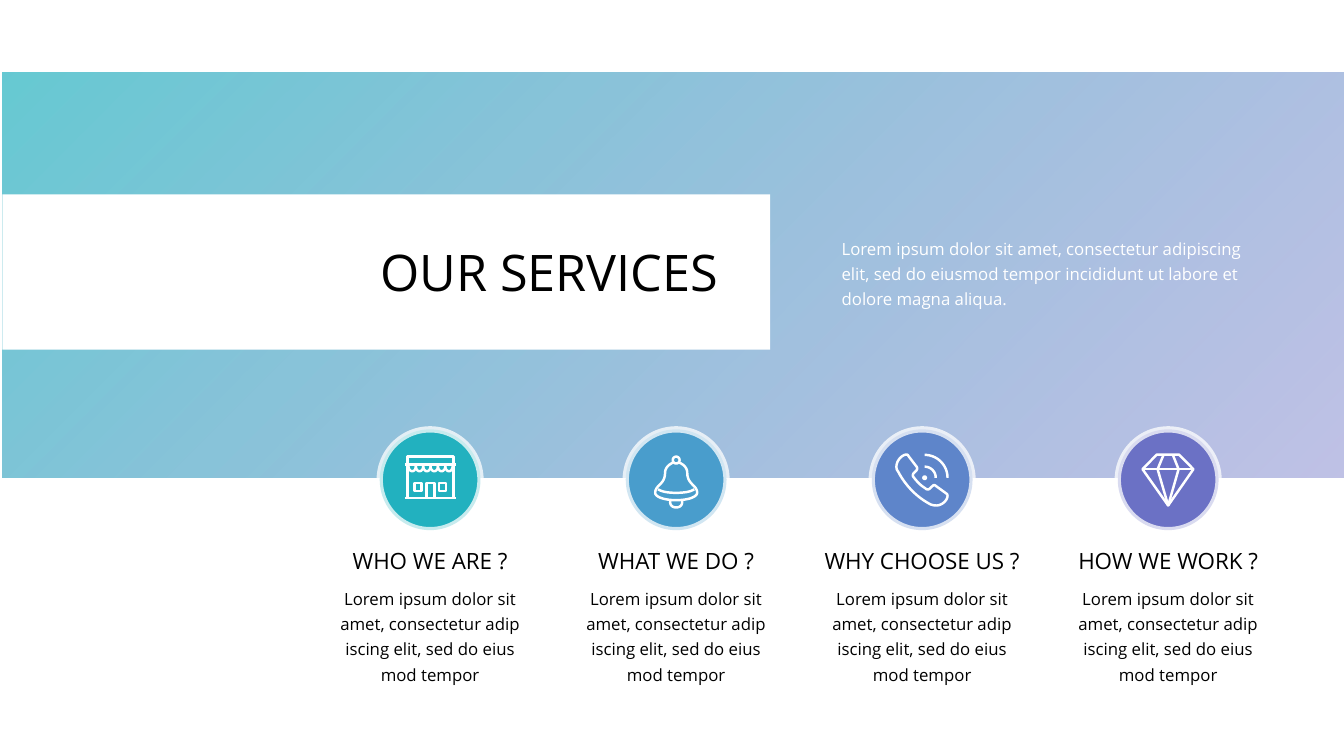
from collections import namedtuple
from math import cos, radians, sin

from lxml.etree import SubElement
from pptx import Presentation
from pptx.dml.color import RGBColor
from pptx.enum.shapes import MSO_SHAPE as Shape
from pptx.enum.text import MSO_AUTO_SIZE as AutoSize, PP_ALIGN as Align
from pptx.oxml.ns import qn
from pptx.util import Cm, Pt

WHITE = RGBColor(0xFF, 0xFF, 0xFF)
BLACK = RGBColor(0x00, 0x00, 0x00)
TEAL = RGBColor(0x22, 0xB1, 0xBF)
SKY = RGBColor(0x49, 0x9D, 0xCC)
BLUE = RGBColor(0x5E, 0x85, 0xCA)
VIOLET = RGBColor(0x6B, 0x71, 0xC5)
FONT = "Open Sans"

INTRO = ("Lorem ipsum dolor sit amet, consectetur adipiscing elit, sed do eiusmod "
         "tempor incididunt ut labore et dolore magna aliqua.")
DETAIL = ("Lorem ipsum dolor sit amet, consectetur adip iscing elit, "
          "sed do eius mod tempor")

Box = namedtuple("Box", "left top width height")


def arc(x, y, radius_x, radius_y, start, end):
    angles = [radians(start + (end - start) * step / 24) for step in range(25)]
    return [(x + radius_x * cos(a), y + radius_y * sin(a)) for a in angles]


def trace(start, *segments):
    points = [start]
    for segment in segments:
        if len(segment) == 2:
            points.append(segment)
            continue
        x0, y0 = points[-1]
        x1, y1, x2, y2, x3, y3 = segment
        for step in range(1, 13):
            t = step / 12
            u = 1 - t
            a, b, c, d = u ** 3, 3 * u * u * t, 3 * u * t * t, t ** 3
            points.append((a * x0 + b * x1 + c * x2 + d * x3,
                           a * y0 + b * y1 + c * y2 + d * y3))
    return points


def rectangle(left, top, right, bottom):
    return [(left, top), (right, top), (right, bottom), (left, bottom), (left, top)]


def shop_icon():
    awning = [arc(32.2 + 7.3 * scallop, 36.5, 3.65, 5, 180, 0) for scallop in range(6)]
    return awning + [
        [(27.7, 68), (27.7, 27), (73, 27), (73, 68)],
        [(25, 34.7), (76, 34.7)],
        [(25, 68), (76, 68)],
        [(46.5, 68), (46.5, 53.3), (54.2, 53.3), (54.2, 68)],
        rectangle(34.5, 53.3, 41.5, 61),
        rectangle(58.7, 53.3, 66, 61),
    ]


def bell_icon():
    return [
        arc(50, 30.5, 3.4, 3.4, 0, 360),
        trace((47, 33), (42, 35, 39, 39, 39, 43), (39, 55, 29.2, 55, 29.2, 63),
              (29.2, 67, 38, 70.3, 50, 70.3), (62, 70.3, 70.8, 67, 70.8, 63),
              (70.8, 55, 61, 55, 61, 43), (61, 39, 58, 35, 53, 33)),
        trace((32, 59.5), (36, 62, 42, 63, 50, 63), (58, 63, 64, 62, 68, 59.5)),
        trace((44.2, 71), (43.5, 75, 46, 77.5, 50, 77.5), (54, 77.5, 56.5, 75, 55.8, 71)),
    ]


def phone_icon():
    handset = trace(
        (34.5, 25), (30, 25, 24.5, 31, 24.5, 37), (24.5, 39, 25, 40.5, 26, 41.5),
        (33, 55, 44, 67, 58.5, 74.5), (60, 75, 62, 75.5, 64, 75.5),
        (70, 75.5, 75.2, 70, 75.2, 66), (75.2, 65, 75, 64.5, 74.5, 64),
        (63.5, 56), (62.5, 55, 61.5, 55, 60.5, 56), (57.5, 58.8),
        (56.5, 59.8, 54.5, 60, 53, 58.3), (49, 56, 45, 52, 42, 48),
        (40.5, 46.5, 40.5, 45, 41.5, 43.5), (44.5, 40.5),
        (45.3, 39.5, 45.3, 38, 44.5, 37), (36.5, 26.5), (36, 25.5, 35.5, 25, 34.5, 25))
    rings = [arc(52.5, 48, r, r, -90, 0) for r in (11, 22.7)]
    return [handset, arc(52.5, 48, 1.2, 1.2, 0, 360)] + rings


def diamond_icon():
    tip = (50, 75.5)
    return [
        [(24.5, 39.5), (38.7, 25), (60.8, 25), (75, 39.5), tip, (24.5, 39.5)],
        [(24.5, 39.5), (75, 39.5)],
        [(45.5, 25), (39.5, 39.5), tip],
        [(54.5, 25), (60.3, 39.5), tip],
    ]


def set_alpha(color_element, percent):
    SubElement(color_element, qn("a:alpha")).set("val", str(percent * 1000))


def add_plain_shape(slide, kind, box, color):
    shape = slide.shapes.add_shape(kind, *box)
    shape.shadow.inherit = False
    shape.fill.solid()
    shape.fill.fore_color.rgb = color
    shape.line.fill.background()
    return shape


def add_text(slide, box, text, size, color, align=Align.LEFT, wrap=True, spacing=None):
    frame = slide.shapes.add_textbox(*box).text_frame
    frame.margin_left = frame.margin_right = frame.margin_top = frame.margin_bottom = 0
    frame.word_wrap = wrap
    frame.auto_size = AutoSize.SHAPE_TO_FIT_TEXT
    paragraph = frame.paragraphs[0]
    paragraph.alignment = align
    paragraph.line_spacing = spacing
    run = paragraph.add_run()
    run.text = text
    run.font.name = FONT
    run.font.size = Pt(size)
    run.font.color.rgb = color


def add_icon(slide, box, strokes):
    placed = [[(box.left + box.width * x / 100, box.top + box.height * y / 100)
               for x, y in stroke] for stroke in strokes]
    builder = slide.shapes.build_freeform(*placed[0][0], scale=1.0)
    for number, stroke in enumerate(placed):
        if number:
            builder.move_to(*stroke[0])
        builder.add_line_segments(stroke[1:], close=stroke[0] == stroke[-1])
    icon = builder.convert_to_shape()
    icon.shadow.inherit = False
    icon.fill.background()
    icon.line.color.rgb = WHITE
    icon.line.width = Pt(1.75)
    SubElement(icon._element.spPr.find(qn("a:ln")), qn("a:round"))


def add_banner(slide, box):
    band = add_plain_shape(slide, Shape.RECTANGLE, box, TEAL)
    band.fill.gradient()
    band.fill.gradient_angle = 315
    for stop, color in zip(band.fill.gradient_stops, (TEAL, VIOLET)):
        stop.color.rgb = color
    for element, percent in zip(band._element.spPr.iter(qn("a:srgbClr")), (69, 43)):
        set_alpha(element, percent)
    panel = Box(box.left, box.top + Cm(3.07), Cm(19.35), Cm(3.91))
    add_plain_shape(slide, Shape.RECTANGLE, panel, WHITE)
    title = Box(box.left + Cm(9.52), panel.top + Cm(1.17), Cm(8.79), Cm(1.55))
    add_text(slide, title, "OUR SERVICES", 36, BLACK, wrap=False)
    intro = Box(box.left + Cm(21.15), panel.top + Cm(0.99), Cm(10.44), Cm(1.93))
    add_text(slide, intro, INTRO, 12, WHITE, spacing=1.25)


def add_service(slide, box, color, strokes, heading):
    diameter = Cm(2.54)
    center = box.left + box.width // 2
    badge = Box(center - diameter // 2, box.top, diameter, diameter)
    circle = add_plain_shape(slide, Shape.OVAL, badge, color)
    circle.line.color.rgb = WHITE
    circle.line.width = Pt(4.5)
    set_alpha(circle._element.spPr.find(qn("a:ln")).find(".//" + qn("a:srgbClr")), 75)
    add_icon(slide, badge, strokes)
    label = Box(box.left, box.top + Cm(2.97), box.width, Cm(0.69))
    add_text(slide, label, heading, 16, BLACK, Align.CENTER, wrap=False)
    detail_width = Cm(4.62)
    detail = Box(center - detail_width // 2, box.top + Cm(3.89), detail_width, Cm(2.57))
    add_text(slide, detail, DETAIL, 12, BLACK, Align.CENTER, spacing=1.25)


def main():
    presentation = Presentation()
    presentation.slide_width = Cm(33.87)
    presentation.slide_height = Cm(19.05)
    slide = presentation.slides.add_slide(presentation.slide_layouts[6])
    add_banner(slide, Box(Cm(0.06), Cm(1.83), Cm(33.81), Cm(10.21)))
    services = [
        (TEAL, shop_icon(), "WHO WE ARE ?"),
        (SKY, bell_icon(), "WHAT WE DO ?"),
        (BLUE, phone_icon(), "WHY CHOOSE US ?"),
        (VIOLET, diamond_icon(), "HOW WE WORK ?"),
    ]
    for column, service in enumerate(services):
        box = Box(Cm(7.94 + 6.2 * column), Cm(10.82), Cm(5.8), Cm(6.46))
        add_service(slide, box, *service)
    presentation.save("out.pptx")


if __name__ == "__main__":
    main()
